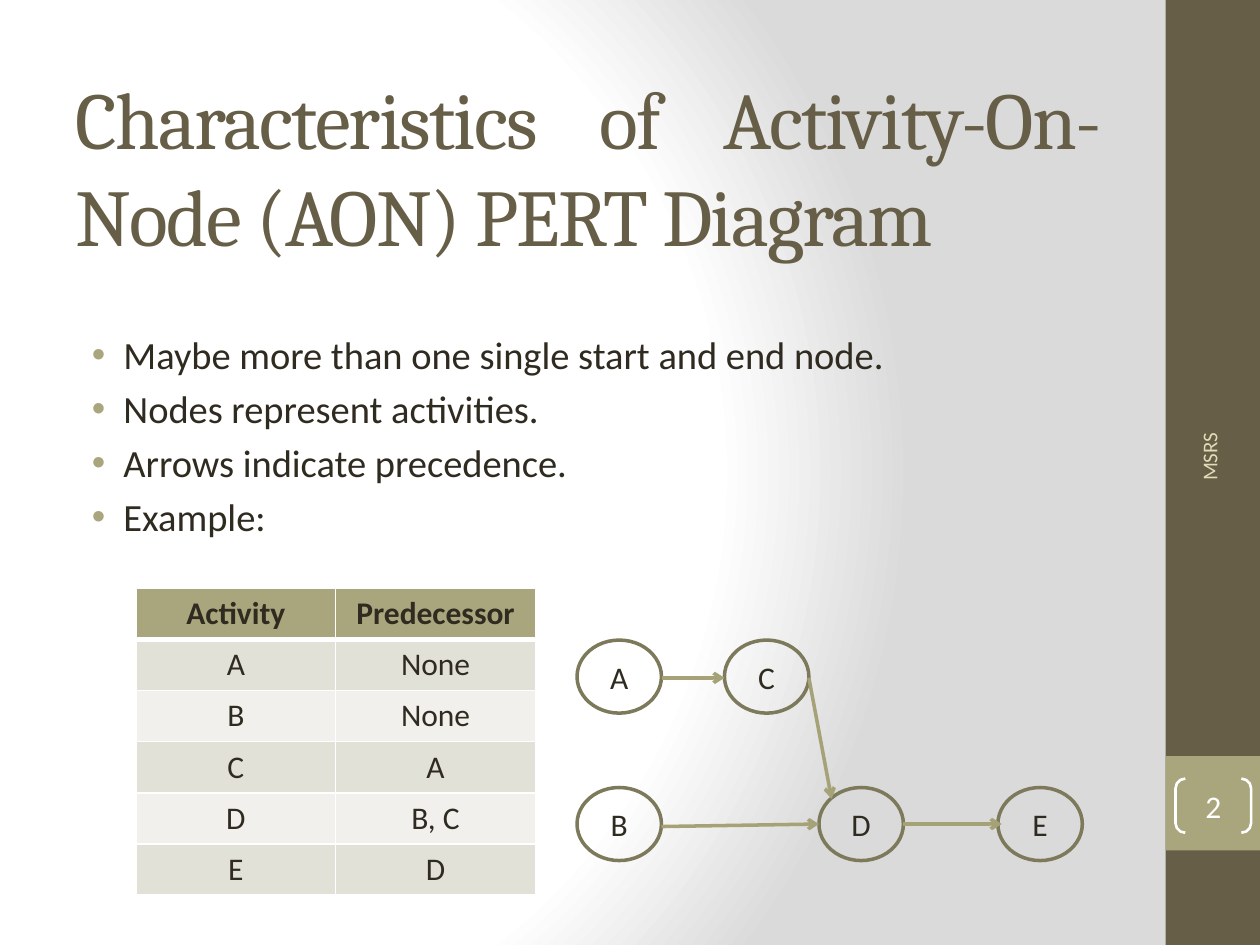
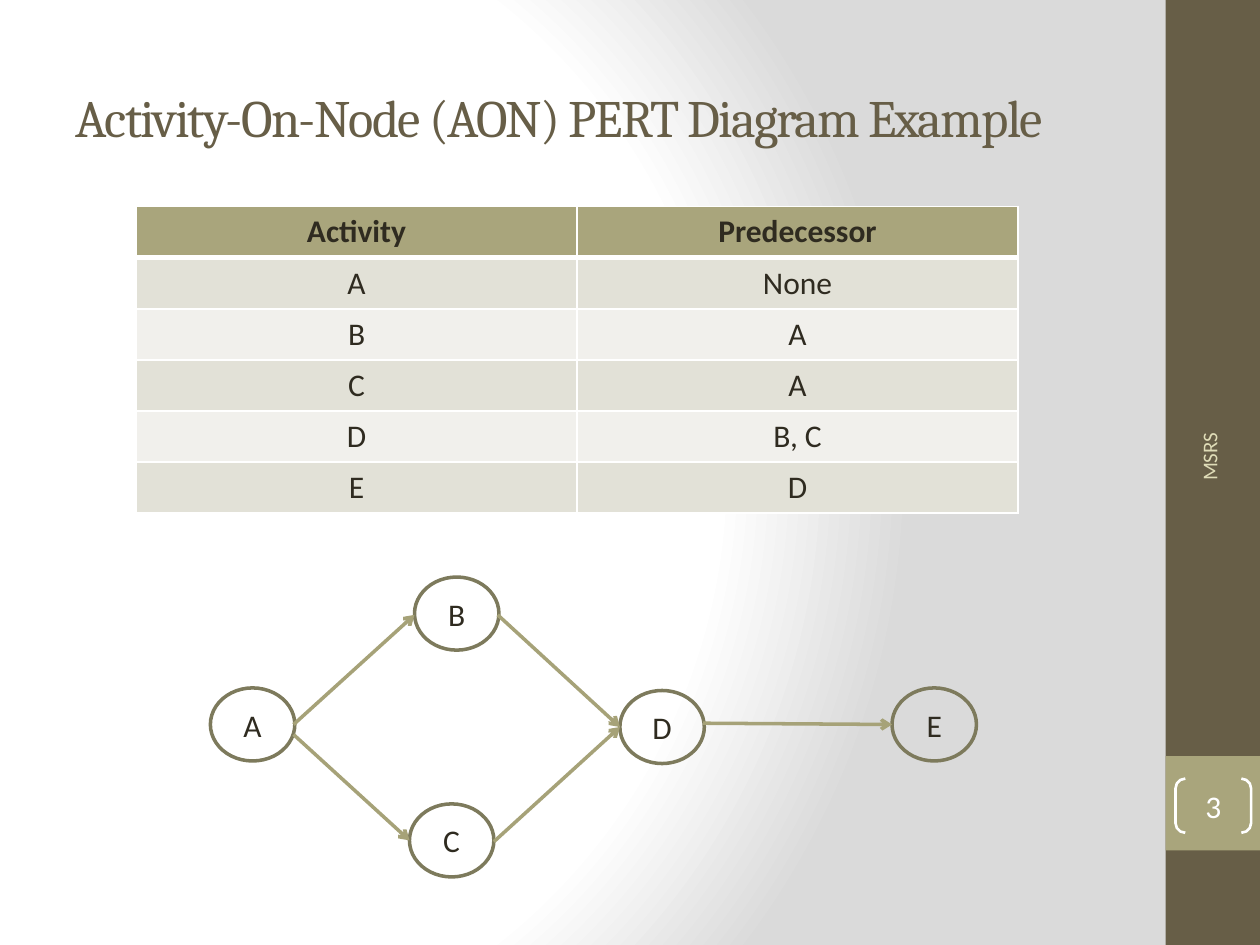
from lxml import etree
from pptx import Presentation
from pptx.dml.color import RGBColor
from pptx.enum.shapes import MSO_CONNECTOR, MSO_SHAPE
from pptx.enum.text import MSO_ANCHOR, MSO_AUTO_SIZE, PP_ALIGN
from pptx.oxml import parse_xml
from pptx.oxml.ns import nsdecls, qn
from pptx.util import Inches, Pt

RECTANGLE, ELLIPSE = MSO_SHAPE.RECTANGLE, MSO_SHAPE.OVAL
BRACKETS, STRAIGHT = MSO_SHAPE.DOUBLE_BRACKET, MSO_CONNECTOR.STRAIGHT
LEFT, CENTER, RIGHT, JUSTIFY = PP_ALIGN.LEFT, PP_ALIGN.CENTER, PP_ALIGN.RIGHT, PP_ALIGN.JUSTIFY
TOP, MIDDLE, NO_FIT = MSO_ANCHOR.TOP, MSO_ANCHOR.MIDDLE, MSO_AUTO_SIZE.NONE

COLORS = {
    "brown": "675E47", "olive": "A9A57C", "text": "2F2B20", "footer": "DFDCB7",
    "white": "FFFFFF", "shade": "DADADA", "node": "7D7A5C", "arrow": "A6A278",
    "band_dark": "E2E1D7", "band_light": "F1F0EC",
}
HEADING_FONT, BODY_FONT = "Cambria", "Calibri"
TITLE_ONLY, TITLE_AND_CONTENT = 5, 1
NODE_WIDTH, NODE_HEIGHT = 0.67, 0.58
TABLE_HEIGHT = 2.43


def rgb(name):
    return RGBColor.from_string(COLORS[name])


class Builder:
    """Holds the deck style and the slide being built."""

    def __init__(self):
        self.deck = Presentation()
        self.deck.slide_width, self.deck.slide_height = Inches(10), Inches(7.5)
        self.page = None
        self.set_background()

    def set_background(self):
        master = self.deck.slide_master
        master.background.fill.solid()
        stops = "".join(
            f'<a:gs pos="{position}"><a:srgbClr val="{COLORS[name]}"/></a:gs>'
            for position, name in ((0, "white"), (75000, "white"), (100000, "shade"))
        )
        gradient = parse_xml(
            f'<a:gradFill {nsdecls("a")} rotWithShape="1"><a:gsLst>{stops}</a:gsLst>'
            '<a:path path="circle"><a:fillToRect l="20000" t="50000" r="100000" b="50000"/>'
            "</a:path></a:gradFill>"
        )
        properties = master.element.find(".//" + qn("p:bgPr"))
        properties.replace(properties.find(qn("a:solidFill")), gradient)

    def start_page(self, layout, number):
        self.page = self.deck.slides.add_slide(self.deck.slide_layouts[layout])
        self.shape(RECTANGLE, (9.25, 0, 0.75, 7.5), fill="brown")
        self.shape(RECTANGLE, (9.25, 6, 0.75, 0.75), fill="olive")
        footer = self.page.shapes.add_textbox(*map(Inches, (8.3, 4.43, 2.59, 0.4)))
        footer.rotation = 270
        self.add_text(footer.text_frame, ["MSRS"], 12, "footer", RIGHT)
        brackets = self.shape(BRACKETS, (9.33, 6.18, 0.6, 0.43), line="white", width=1.5)
        brackets.adjustments[0] = 0.18
        frame = brackets.text_frame
        frame.margin_left = frame.margin_right = frame.margin_top = frame.margin_bottom = 0
        self.add_text(frame, [str(number)], 18, "white", CENTER)

    def add_span(self, para, text, size, color, font=BODY_FONT, bold=False):
        span = para.add_run()
        span.text = text
        span.font.size, span.font.name, span.font.bold = Pt(size), font, bold
        span.font.color.rgb = rgb(color)

    def add_text(self, frame, lines, size, color, align, font=BODY_FONT, anchor=MIDDLE):
        frame.word_wrap, frame.auto_size = True, NO_FIT
        frame.vertical_anchor = anchor
        for index, text in enumerate(lines):
            para = frame.add_paragraph() if index else frame.paragraphs[0]
            para.alignment = align
            self.add_span(para, text, size, color, font)

    def place(self, box, bounds):
        box.left, box.top, box.width, box.height = map(Inches, bounds)

    def title(self, text, height, size, align):
        box = self.page.shapes.title
        self.place(box, (0.5, 0.3, 8.33, height))
        self.add_text(box.text_frame, [text], size, "brown", align, HEADING_FONT)
        for properties in box.element.iter(qn("a:rPr")):
            properties.set("spc", "-100")

    def bullets(self, lines):
        box = self.page.placeholders[1]
        self.place(box, (0.5, 2.58, 8.33, 4.42))
        self.add_text(box.text_frame, lines, 22, "text", LEFT, anchor=TOP)
        for properties in box.element.iter(qn("a:pPr")):
            properties.set("marL", str(Inches(0.38)))
            properties.set("indent", str(Inches(-0.25)))
            color = etree.SubElement(properties, qn("a:buClr"))
            etree.SubElement(color, qn("a:srgbClr"), val=COLORS["olive"])
            etree.SubElement(properties, qn("a:buFont"), typeface="Arial")
            etree.SubElement(properties, qn("a:buChar"), char="•")

    def shape(self, kind, bounds, fill=None, line=None, width=1):
        box = self.page.shapes.add_shape(kind, *map(Inches, bounds))
        box.shadow.inherit = False
        if fill:
            box.fill.solid()
            box.fill.fore_color.rgb = rgb(fill)
        else:
            box.fill.background()
        if line:
            box.line.color.rgb = rgb(line)
            box.line.width = Pt(width)
        else:
            box.line.fill.background()
        return box

    def node(self, label, left, top):
        bounds = (left, top, NODE_WIDTH, NODE_HEIGHT)
        box = self.shape(ELLIPSE, bounds, line="node", width=2)
        self.add_text(box.text_frame, [label], 18, "text", CENTER)

    def arrow(self, start, end):
        line = self.page.shapes.add_connector(STRAIGHT, *map(Inches, start + end))
        line.line.color.rgb = rgb("arrow")
        line.line.width = Pt(2)
        properties = line.element.spPr
        etree.SubElement(properties.find(qn("a:ln")), qn("a:tailEnd"), type="arrow")
        etree.SubElement(properties, qn("a:effectLst"))

    def network(self, nodes, arrows):
        for label, left, top in nodes:
            self.node(label, left, top)
        for start, end in arrows:
            self.arrow(start, end)

    def border(self, cell_xml, row):
        widths = {"L": 1, "R": 1, "T": 3 if row == 1 else 1, "B": 3 if row == 0 else 1}
        properties = cell_xml.get_or_add_tcPr()
        for side, width in widths.items():
            edge = etree.SubElement(properties, qn(f"a:ln{side}"), w=str(Pt(width)))
            fill = etree.SubElement(edge, qn("a:solidFill"))
            etree.SubElement(fill, qn("a:srgbClr"), val=COLORS["white"])

    def precedence_table(self, top, width, predecessors):
        rows = [("Activity", "Predecessor"), *zip("ABCDE", predecessors)]
        bounds = map(Inches, (1.08, top, width, TABLE_HEIGHT))
        frame = self.page.shapes.add_table(len(rows), 2, *bounds)
        cells = zip(frame.table.iter_cells(), frame.element.iter(qn("a:tc")))
        for index, (cell, cell_xml) in enumerate(cells):
            row, column = divmod(index, 2)
            self.border(cell_xml, row)
            cell.fill.solid()
            band = "band_dark" if row % 2 else "band_light"
            cell.fill.fore_color.rgb = rgb(band if row else "olive")
            para = cell.text_frame.paragraphs[0]
            para.alignment = CENTER
            self.add_span(para, rows[row][column], 18, "text", bold=row == 0)


def build_characteristics(builder):
    builder.start_page(TITLE_AND_CONTENT, 2)
    builder.title("Characteristics of Activity-On-Node (AON) PERT Diagram", 2.03, 46, JUSTIFY)
    builder.bullets([
        "Maybe more than one single start and end node.",
        "Nodes represent activities.",
        "Arrows indicate precedence.",
        "Example:",
    ])
    builder.precedence_table(4.67, 3.17, ["None", "None", "A", "B, C", "D"])
    upper, lower = 5.08, 6.25
    builder.network(
        [("A", 4.58, upper), ("B", 4.58, lower), ("C", 5.75, upper),
         ("D", 6.5, lower), ("E", 7.92, lower)],
        [((5.25, 5.38), (5.75, 5.38)), ((5.25, 6.56), (6.5, 6.54)),
         ((6.42, 5.38), (6.6, 6.34)), ((7.17, 6.54), (7.95, 6.54))],
    )


def build_example(builder):
    builder.start_page(TITLE_ONLY, 3)
    builder.title("Activity-On-Node (AON) PERT Diagram Example", 1.25, 30, LEFT)
    builder.precedence_table(1.64, 7, ["None", "A", "A", "B, C", "D"])
    merge = (4.92, 5.77)
    builder.network(
        [("A", 1.67, 5.46), ("B", 3.29, 4.58), ("C", 3.25, 6.38),
         ("D", 4.92, 5.48), ("E", 7.08, 5.46)],
        [((2.33, 5.75), (3.29, 4.88)), ((2.33, 5.83), (3.25, 6.67)),
         ((3.95, 4.88), merge), ((3.92, 6.68), merge), ((5.58, 5.74), (7.08, 5.75))],
    )


def main():
    builder = Builder()
    build_characteristics(builder)
    build_example(builder)
    builder.deck.save("out.pptx")


if __name__ == "__main__":
    main()
